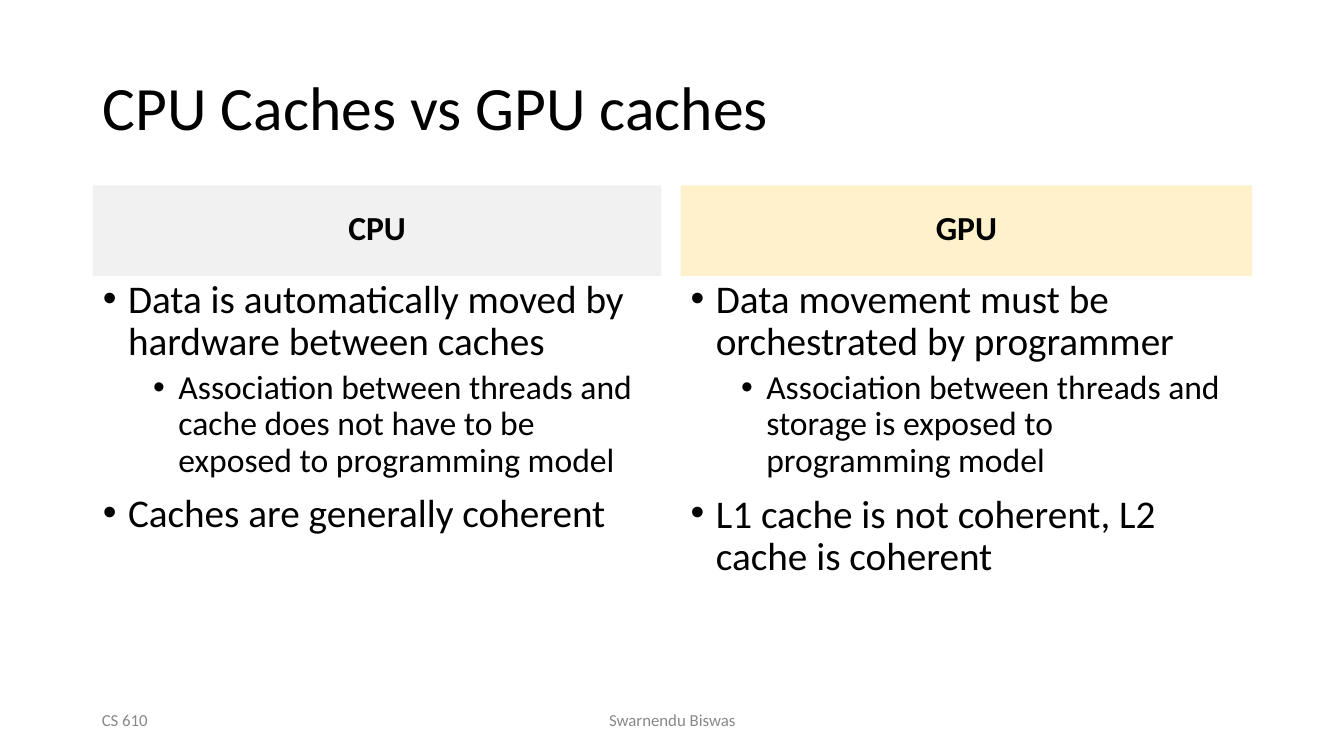
"""Build a slide that compares CPU caches with GPU caches."""
from lxml.etree import SubElement
from pptx import Presentation
from pptx.dml.color import RGBColor
from pptx.enum.shapes import MSO_SHAPE
from pptx.enum.text import MSO_ANCHOR, MSO_AUTO_SIZE, PP_ALIGN
from pptx.oxml.ns import qn
from pptx.util import Inches, Pt

BLACK = RGBColor(0x00, 0x00, 0x00)
GREY = RGBColor(0x88, 0x88, 0x88)
PALE_GREY = RGBColor(0xF1, 0xF1, 0xF1)
PALE_YELLOW = RGBColor(0xFF, 0xF1, 0xCC)

COLUMNS = [
    (0.92, 5.64, "CPU", PALE_GREY, [
        (0, "Data is automatically moved by hardware between caches", Pt(30.2), 0),
        (1, "Association between threads and cache does not have to be\v"
            "exposed to programming model", 0.9, 4.9),
        (0, "Caches are generally coherent", 1.0, 6.3),
    ]),
    (6.75, 5.67, "GPU", PALE_YELLOW, [
        (0, "Data movement must be orchestrated by programmer", Pt(30.2), 0),
        (1, "Association between threads and storage is exposed to programming model",
         0.9, 4.9),
        (0, "L1 cache is not coherent, L2 cache is coherent", Pt(30.3), 10.1),
    ]),
]


class SlideWriter:
    """Hold the font and the current slide, and add its elements."""

    font = "Calibri"

    def __init__(self, page):
        self.page = page

    def place(self, box, left, top, width, height):
        box.left, box.top = Inches(left), Inches(top)
        box.width, box.height = Inches(width), Inches(height)

    def frame(self, box, inset=0):
        frame = box.text_frame
        frame.word_wrap = True
        frame.auto_size = MSO_AUTO_SIZE.NONE
        frame.vertical_anchor = MSO_ANCHOR.TOP
        frame.margin_left = frame.margin_right = frame.margin_bottom = 0
        frame.margin_top = Inches(inset)
        return frame

    def style(self, para, size, color=BLACK, bold=False, align=PP_ALIGN.LEFT):
        para.alignment = align
        for span in para.runs:
            span.font.name = self.font
            span.font.size = Pt(size)
            span.font.bold = bold
            span.font.color.rgb = color

    def title(self, text):
        box = self.page.shapes.title
        self.place(box, 1.02, 0.15, 11.12, 1.61)
        frame = self.frame(box, 0.53)
        frame.text = text
        self.style(frame.paragraphs[0], 44)

    def header(self, left, width, text, fill):
        box = self.page.shapes.add_shape(
            MSO_SHAPE.RECTANGLE, Inches(left), Inches(1.84), Inches(width), Inches(0.9))
        box.shadow.inherit = False
        box.fill.solid()
        box.fill.fore_color.rgb = fill
        box.line.fill.background()
        frame = self.frame(box, 0.21)
        frame.text = text
        self.style(frame.paragraphs[0], 24, bold=True, align=PP_ALIGN.CENTER)

    def text_box(self, left, top, width, height, inset=0):
        box = self.page.shapes.add_textbox(
            Inches(left), Inches(top), Inches(width), Inches(height))
        return self.frame(box, inset)

    def bullets(self, left, items):
        frame = self.text_box(left, 2.7, 5.28, 3.04, 0.07)
        for index, (level, text, spacing, before) in enumerate(items):
            para = frame.add_paragraph() if index else frame.paragraphs[0]
            para.text = text
            para.level = level
            para.line_spacing = spacing
            para.space_before = Pt(before)
            properties = para._p.get_or_add_pPr()
            properties.set("marL", str(Inches(0.26 + 0.5 * level)))
            properties.set("indent", str(Inches(-0.25)))
            SubElement(properties, qn("a:buFont")).set("typeface", "Arial")
            SubElement(properties, qn("a:buChar")).set("char", "•")
            self.style(para, 28 - 4 * level)

    def footer(self, left, width, text):
        frame = self.text_box(left, 7.07, width, 0.19)
        frame.text = text
        frame.paragraphs[0].line_spacing = Pt(12.4)
        self.style(frame.paragraphs[0], 12, GREY)


def main():
    deck = Presentation()
    deck.slide_width, deck.slide_height = Inches(13.33), Inches(7.5)
    writer = SlideWriter(deck.slides.add_slide(deck.slide_layouts[5]))
    writer.title("CPU Caches vs GPU caches")
    for left, width, name, fill, items in COLUMNS:
        writer.header(left, width, name, fill)
        writer.bullets(left + 0.09, items)
    writer.footer(1.01, 0.49, "CS 610")
    writer.footer(6.04, 1.28, "Swarnendu Biswas")
    deck.save("out.pptx")


if __name__ == "__main__":
    main()
